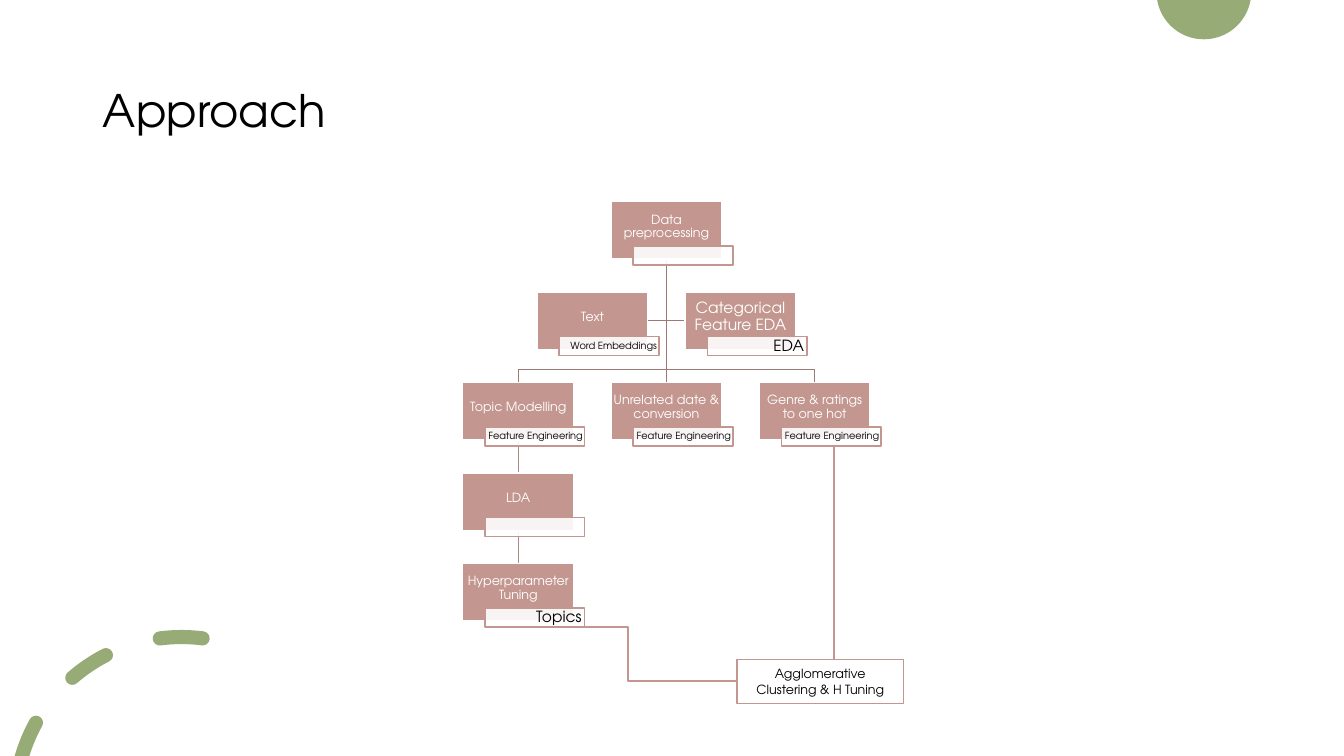
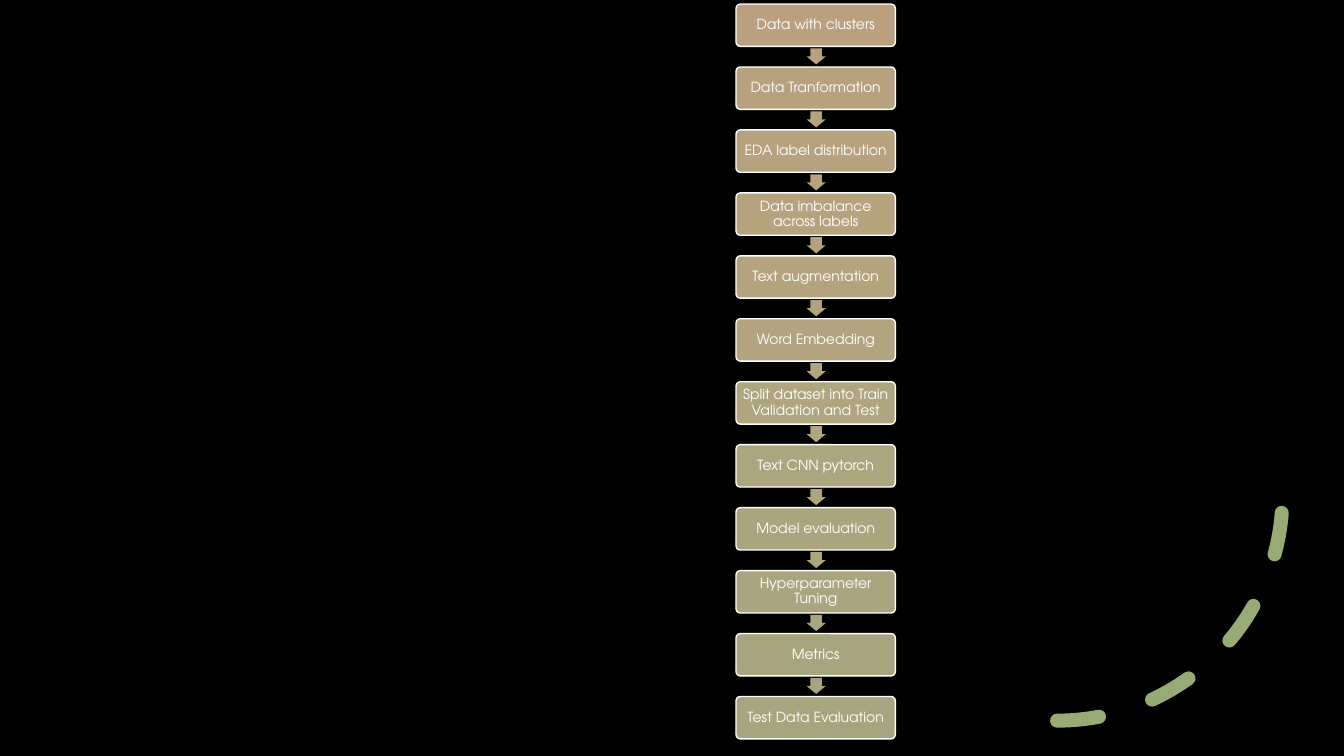
from math import cos, radians, sin, tan

from lxml.etree import SubElement
from pptx import Presentation
from pptx.dml.color import RGBColor
from pptx.enum.dml import MSO_LINE as Dash
from pptx.enum.shapes import MSO_CONNECTOR as Link, MSO_SHAPE as Kind
from pptx.enum.text import MSO_ANCHOR as Anchor, MSO_AUTO_SIZE as Auto, PP_ALIGN as Align
from pptx.oxml.ns import qn
from pptx.util import Inches, Pt

FONT = "TeX Gyre Adventor"
WHITE = RGBColor(0xFF, 0xFF, 0xFF)
BLACK = RGBColor(0, 0, 0)
GREEN = RGBColor(0x96, 0xAB, 0x75)
ROSE = RGBColor(0xC3, 0x97, 0x90)
BROWN = RGBColor(0x9C, 0x79, 0x73)
DUSK = RGBColor(0xB1, 0x89, 0x83)
WIDE, HIGH = 13.33, 7.5

NODES = [
    (2, 0, "Data preprocessing", 9, "", 7),
    (0, 2, "Topic Modelling", 9, "Feature Engineering", 7),
    (0, 3, "LDA", 9, "", 7),
    (0, 4, "Hyperparameter Tuning", 9, "Topics", 11),
    (2, 2, "Unrelated date & conversion", 9, "Feature Engineering", 7),
    (4, 2, "Genre & ratings to one hot", 9, "Feature Engineering", 7),
    (1, 1, "Text", 9, "Word Embeddings", 7),
    (3, 1, "Categorical Feature EDA", 11, "EDA", 11),
]
STEPS = [
    "Data with clusters", "Data Tranformation", "EDA label distribution",
    "Data imbalance across labels", "Text augmentation", "Word Embedding",
    "Split dataset into Train Validation and Test", "Text CNN pytorch",
    "Model evaluation", "Hyperparameter Tuning", "Metrics", "Test Data Evaluation",
]


def put(item, vals):
    for key, val in vals.items():
        setattr(item, key, val)


def write(shape, text, size, color, align=Align.CENTER, pads=(0.1, 0.05, 0.1, 0.05), lead=0.9):
    frame = shape.text_frame
    sides = ("margin_left", "margin_top", "margin_right", "margin_bottom")
    put(frame, {"text": text, "word_wrap": True, "auto_size": Auto.NONE,
                "vertical_anchor": Anchor.MIDDLE, **dict(zip(sides, map(Inches, pads)))})
    para = frame.paragraphs[0]
    put(para, {"alignment": align, "line_spacing": lead})
    put(para.runs[0].font, {"name": FONT, "size": Pt(size)})
    para.runs[0].font.color.rgb = color


def paint(shape, fill=None, line=None, width=1):
    shape.shadow.inherit = False
    for part, color in ((shape.fill, fill), (shape.line.fill, line)):
        if color is None:
            part.background()
        else:
            part.solid()
            part.fore_color.rgb = color
    if line is not None:
        shape.line.width = Pt(width)
    return shape


def block(slide, kind, box, fill=None, line=None, width=1):
    shape = slide.shapes.add_shape(kind, *map(Inches, box))
    return paint(shape, fill, line, width)


def trace(slide, loops, shut, fill=None, line=None):
    build = None
    for loop in loops:
        spots = [(Inches(x), Inches(y)) for x, y in loop]
        if build is None:
            build = slide.shapes.build_freeform(*spots[0])
        else:
            build.move_to(*spots[0])
        build.add_line_segments(spots[1:], close=shut)
    return paint(build.convert_to_shape(), fill, line)


def bend(shape):
    legs = list(shape._element.iter(qn("a:lnTo")))
    for i in range(0, len(legs), 3):
        legs[i].tag = qn("a:cubicBezTo")
        for leg in legs[i + 1:i + 3]:
            legs[i].append(leg[0])
            leg.getparent().remove(leg)


def join(slide, start, end, color, width=1, kind=Link.STRAIGHT):
    link = slide.shapes.add_connector(kind, *map(Inches, start + end))
    link.line.color.rgb = color
    link.line.width = Pt(width)
    SubElement(link._element.spPr, qn("a:effectLst"))


def spot(mid, radius, turn):
    angle = radians(turn)
    return mid[0] + radius * sin(angle), mid[1] - radius * cos(angle)


def arc(mid, radius, start, end, count=1):
    step = (end - start) / count
    pull = 4 / 3 * tan(radians(step) / 4) * radius
    points = []
    for i in range(count):
        a, b = start + i * step, start + (i + 1) * step
        points += [spot(spot(mid, radius, a), pull, a + 90),
                   spot(spot(mid, radius, b), -pull, b + 90), spot(mid, radius, b)]
    return points


def stroke(mid, radius, start, end, tail=None, half=0.07):
    stop = start if tail is None else tail
    points = [spot(mid, radius + half, start)]
    points += arc(mid, radius + half, start, end)
    points += arc(spot(mid, radius, end), half, end, end + 180, 2)
    points += arc(mid, radius - half, end, stop)
    if tail is None:
        points += arc(spot(mid, radius, start), half, start + 180, start + 360, 2)
    return points


def decor(slide, master):
    mid = (11.94, -0.08)
    disc = [spot(mid, 0.47, 99.8)] + arc(mid, 0.47, 99.8, 260.2, 2)
    spans = ((-74.1, -61, -72.7), (-41, -27), (-7.5, 7.3))
    dashes = [stroke((1.8, 7.97), 1.65, *span) for span in spans]
    for place, loops in enumerate(([disc], dashes), 2):
        shape = trace(slide, loops, True, GREEN)
        bend(shape)
        master.shapes._spTree.insert(place, shape._element)


def head(slide, text, box):
    title = slide.shapes.title
    put(title, dict(zip(("left", "top", "width", "height"), map(Inches, box))))
    write(title, text, 32, BLACK, Align.LEFT)


def node(slide, x, y, text, size, note, small):
    card = block(slide, Kind.RECTANGLE, (x, y, 1.1, 0.57), ROSE, WHITE)
    write(card, text, size, WHITE, pads=(0.01, 0.01, 0.01, 0.08))
    tag = block(slide, Kind.RECTANGLE, (x + 0.22, y + 0.44, 0.99, 0.19), WHITE, ROSE)
    tint = tag.fill._xPr.find(qn("a:solidFill"))[0]
    SubElement(tint, qn("a:alpha")).set("val", "90000")
    if note:
        side = 0.03 if small > 9 else 0.02
        write(tag, note, small, BLACK, Align.RIGHT, (side, 0, side, 0))


def tree(slide, left, top, wide, tall):
    col, row = (wide - 1.1) / 4, (tall - 0.57) / 4
    mid, base, low = left + wide / 2, top + 0.57, top + 2 * row
    for side in (1, -1):
        arm, end = mid + side * 0.19, mid + side * 2 * col
        trace(slide, [[(mid, base), (mid, top + 1.18), (arm, top + 1.18)]], False, line=BROWN)
        trace(slide, [[(mid, base), (mid, low - 0.13), (end, low - 0.13), (end, low)]],
              False, line=BROWN)
    join(slide, (mid, base), (mid, low), BROWN)
    for step in (3, 2):
        y = top + step * row
        join(slide, (left + 0.55, y + 0.57), (left + 0.55, y + row), DUSK)
    for across, down, *rest in NODES:
        node(slide, left + across * col, top + down * row, *rest)


def result(slide, x, y):
    join(slide, (x + 0.96, 4.41), (x + 0.96, y + 0.14), ROSE, 1.5)
    card = block(slide, Kind.RECTANGLE, (x, y, 1.65, 0.44), WHITE, ROSE)
    write(card, "Agglomerative Clustering & H Tuning", 9, BLACK, lead=1)
    join(slide, (5.15, 6.22), (x, y + 0.22), ROSE, 1.5, Link.ELBOW)


def flow(slide, left, top, wide, tall):
    high = 0.42
    pitch = (tall - high) / (len(STEPS) - 1)
    for i, text in enumerate(STEPS):
        y = top + i * pitch
        hue = RGBColor(0xBA - round(i * 20 / 11), 0xA0 + min(5, round(i * 0.9)), 0x7E)
        card = block(slide, Kind.ROUNDED_RECTANGLE, (left, y, wide, high), hue, WHITE)
        card.adjustments[0] = 0.1
        write(card, text, 10, WHITE, pads=(0.05,) * 4)
        if i < len(STEPS) - 1:
            arrow = block(slide, Kind.DOWN_ARROW,
                          (left + wide / 2 - 0.09, y + high + 0.02, 0.19, 0.16), hue)
            arrow.adjustments[0], arrow.adjustments[1] = 0.6, 0.5


def sweep(slide, box):
    curve = block(slide, Kind.ARC, box, line=GREEN, width=10)
    curve.line.dash_style = Dash.DASH
    curve._element.spPr.find(qn("a:xfrm")).set("flipV", "1")
    curve._element.spPr.find(qn("a:ln")).set("cap", "rnd")


def plan(deck):
    slide = deck.slides.add_slide(deck.slide_layouts[5])
    decor(slide, deck.slide_master)
    head(slide, "Approach", (0.92, 0.4, 11.5, 1.45))
    tree(slide, 4.59, 2, 4.04, 4.16)
    result(slide, 7.31, 6.54)


def chain(deck):
    slide = deck.slides.add_slide(deck.slide_layouts[6])
    block(slide, Kind.RECTANGLE, (0, 0, WIDE, HIGH), BLACK)
    sweep(slide, (8.25, 2.68, 4.47, 4.47))
    flow(slide, 7.3, 0.04, 1.58, 7.29)


def main():
    deck = Presentation()
    put(deck, {"slide_width": Inches(WIDE), "slide_height": Inches(HIGH)})
    plan(deck)
    chain(deck)
    deck.save("out.pptx")


if __name__ == "__main__":
    main()
